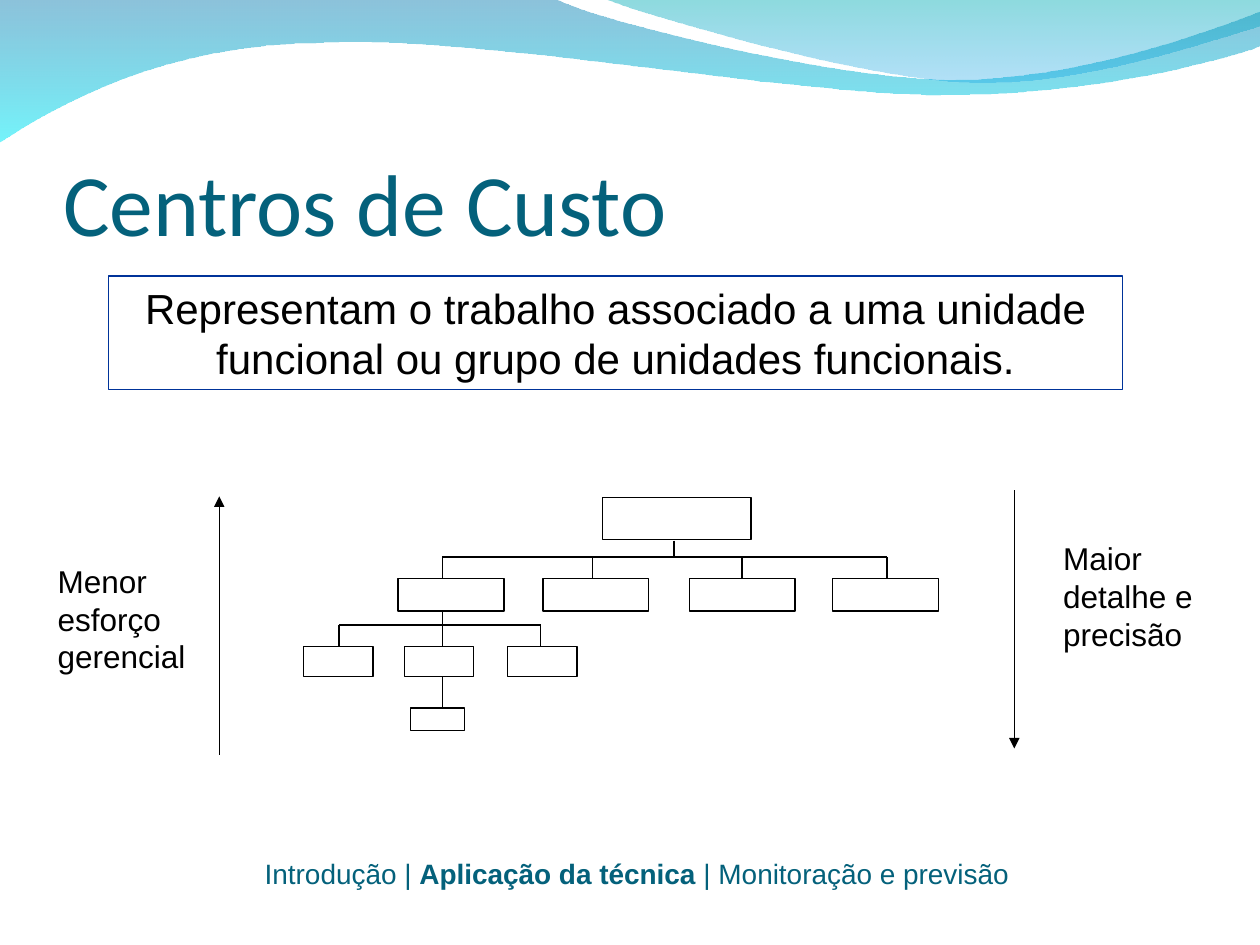
from lxml import etree
from pptx import Presentation, util as u
from pptx.dml.color import RGBColor
from pptx.enum import shapes, text
from pptx.oxml.ns import qn

W, H = 10, 7.5
TEAL, BLACK, WHITE, NAVY = "04617B", "000000", "FFFFFF", "003399"

TITLE = "Centros de Custo"
BANNER = "Representam o trabalho associado a uma unidade funcional ou grupo de unidades funcionais."
FOOTER = [("Introdução | ", False), ("Aplicação da técnica", True),
          (" | Monitoração e previsão ", False)]
SIDE_NOTES = [("Maior detalhe e precisão", (8.34, 4.23, 1.33, 1)),
              ("Menor esforço gerencial", (0.36, 4.41, 1.3, 1))]
SIDE_ARROWS = [(8.05, 3.89, 5.94), (1.74, 5.99, 3.94)]  # x, tail y, head y

# Tree levels: top, box width, box height, left edges
LEVELS = [(3.95, 1.18, 0.33, [4.78]),
          (4.59, 0.84, 0.26, [3.16, 4.31, 5.47, 6.61]),
          (5.13, 0.55, 0.24, [2.41, 3.21, 4.03]),
          (5.62, 0.43, 0.18, [3.26])]
TRUNK = 3.51
# Branches: bar y, drop end y, x of each drop
BRANCHES = [(4.42, 4.59, [TRUNK, 4.7, 5.89, 7.04]),
            (4.96, 5.16, [2.69, TRUNK, 4.29])]
STEMS = [(5.35, 4.29, 4.42), (TRUNK, 4.42, 5.72)]  # x, top, bottom

# Waves: gradient stops (colour, opacity %), then points; six numbers make a Bézier curve
WAVES = [
    ([("0079AF", 45), ("00EBF8", 55)],
     [(0, -0.01), (4.4, -0.01), (4.76, 0.17, 6.64, 0.63, 7.58, 0.63),
      (8.53, 0.63, 9.58, 0.26, 10, 0.09), (10.01, 0.36),
      (9.83, 0.44, 8.7, 0.76, 7.46, 0.75), (6.22, 0.75, 3.82, 0.28, 2.57, 0.34),
      (1.29, 0.35, 0.46, 0.83, -0.01, 1.13)]),
    ([("00ADB6", 45), ("009BE5", 30)],
     [(4.79, -0.01), (5.09, 0.11, 6.82, 0.62, 7.69, 0.65),
      (8.56, 0.69, 9.61, 0.32, 10, 0.21), (10, 0)]),
]


def rgb(value):
    return RGBColor.from_string(value)


def inches(values):
    return [u.Inches(v) for v in values]


def bend(sp, segments):
    """Turn the straight sides that have control points into Bézier curves."""
    sides = list(sp._element.spPr.iter(qn("a:lnTo")))
    for side, seg in zip(sides, segments):
        if len(seg) == 2:
            continue
        curve = etree.Element(qn("a:cubicBezTo"))
        for x, y in zip(inches(seg[::2]), inches(seg[1::2])):
            etree.SubElement(curve, qn("a:pt"), x=str(x - sp.left), y=str(y - sp.top))
        side.getparent().replace(side, curve)


def add_wave(parent, stops, segments):
    corners = [inches(seg[-2:]) for seg in segments]
    builder = parent.build_freeform(*corners[0])
    builder.add_line_segments(corners[1:], close=True)
    sp = builder.convert_to_shape()
    bend(sp, segments[1:])
    sp.shadow.inherit = False
    sp.line.fill.background()
    sp.fill.gradient()
    sp.fill.gradient_angle = 270
    for stop, (color, _) in zip(sp.fill.gradient_stops, stops):
        stop.color.rgb = rgb(color)
    for clr, (_, opacity) in zip(sp._element.spPr.iter(qn("a:srgbClr")), stops):
        etree.SubElement(clr, qn("a:alpha"), val=str(opacity * 1000))


def add_box(parent, box, fill=None, line=BLACK):
    sp = parent.add_shape(shapes.MSO_SHAPE.RECTANGLE, *inches(box))
    sp.shadow.inherit = False
    if fill:
        sp.fill.solid()
        sp.fill.fore_color.rgb = rgb(fill)
    else:
        sp.fill.background()
    sp.line.color.rgb = rgb(line)
    sp.line.width = u.Pt(0.75)
    return sp


def add_line(parent, x1, y1, x2, y2, arrow=False):
    line = parent.add_connector(shapes.MSO_CONNECTOR.STRAIGHT, *inches((x1, y1, x2, y2)))
    line.line.color.rgb = rgb(BLACK)
    line.line.width = u.Pt(0.75)
    if arrow:
        etree.SubElement(line.line._get_or_add_ln(), qn("a:tailEnd"), type="triangle")
    etree.SubElement(line._element.spPr, qn("a:effectLst"))


def write(sp, runs, size, color, font="Arial", align=text.PP_ALIGN.LEFT,
          anchor=text.MSO_ANCHOR.TOP, margins=(0.1, 0.05, 0.1, 0.05)):
    tf = sp.text_frame
    sides = ("margin_left", "margin_top", "margin_right", "margin_bottom")
    frame = dict(zip(sides, inches(margins)), word_wrap=True, vertical_anchor=anchor,
                 auto_size=text.MSO_AUTO_SIZE.NONE)
    for name, value in frame.items():
        setattr(tf, name, value)
    p = tf.paragraphs[0]
    p.alignment = align
    for words, bold in runs:
        r = p.add_run()
        r.text = words
        r.font.color.rgb = rgb(color)
        for name, value in {"size": u.Pt(size), "name": font, "bold": bold}.items():
            setattr(r.font, name, value)


def add_tree(s):
    tree = s.shapes.add_group_shape().shapes
    for bar_y, end_y, drops in BRANCHES:
        add_line(tree, drops[0], bar_y, drops[-1], bar_y)
        for x in drops:
            if x != TRUNK:
                add_line(tree, x, bar_y, x, end_y)
    for x, top, bottom in STEMS:
        add_line(tree, x, top, x, bottom)
    for top, width, height, lefts in LEVELS:
        for left in lefts:
            add_box(tree, (left, top, width, height), fill=WHITE)


def main():
    prs = Presentation()
    prs.slide_width, prs.slide_height = inches((W, H))
    s = prs.slides.add_slide(prs.slide_layouts[5])

    for stops, segments in WAVES:
        add_wave(s.shapes, stops, segments)

    title = s.shapes.title
    s.shapes._spTree.append(title._element)  # in front of the waves
    title.left, title.top, title.width, title.height = inches((0.5, 0.77, 9, 1.25))
    write(title, [(TITLE, False)], 50, TEAL, font="Calibri",
          anchor=text.MSO_ANCHOR.BOTTOM, margins=(0, 0.05, 0, 0))

    footer = s.shapes.add_textbox(*inches((1.92, 6.75, 6.33, 0.37)))
    write(footer, FOOTER, 16, TEAL, align=text.PP_ALIGN.CENTER)
    banner = add_box(s.shapes, (0.86, 2.19, 8.05, 0.9), line=NAVY)
    write(banner, [(BANNER, False)], 24, BLACK, align=text.PP_ALIGN.CENTER)

    add_tree(s)
    for x, tail, head in SIDE_ARROWS:
        add_line(s.shapes, x, tail, x, head, arrow=True)
    for note, box in SIDE_NOTES:
        write(s.shapes.add_textbox(*inches(box)), [(note, False)], 18, BLACK)

    prs.save("out.pptx")


if __name__ == "__main__":
    main()
